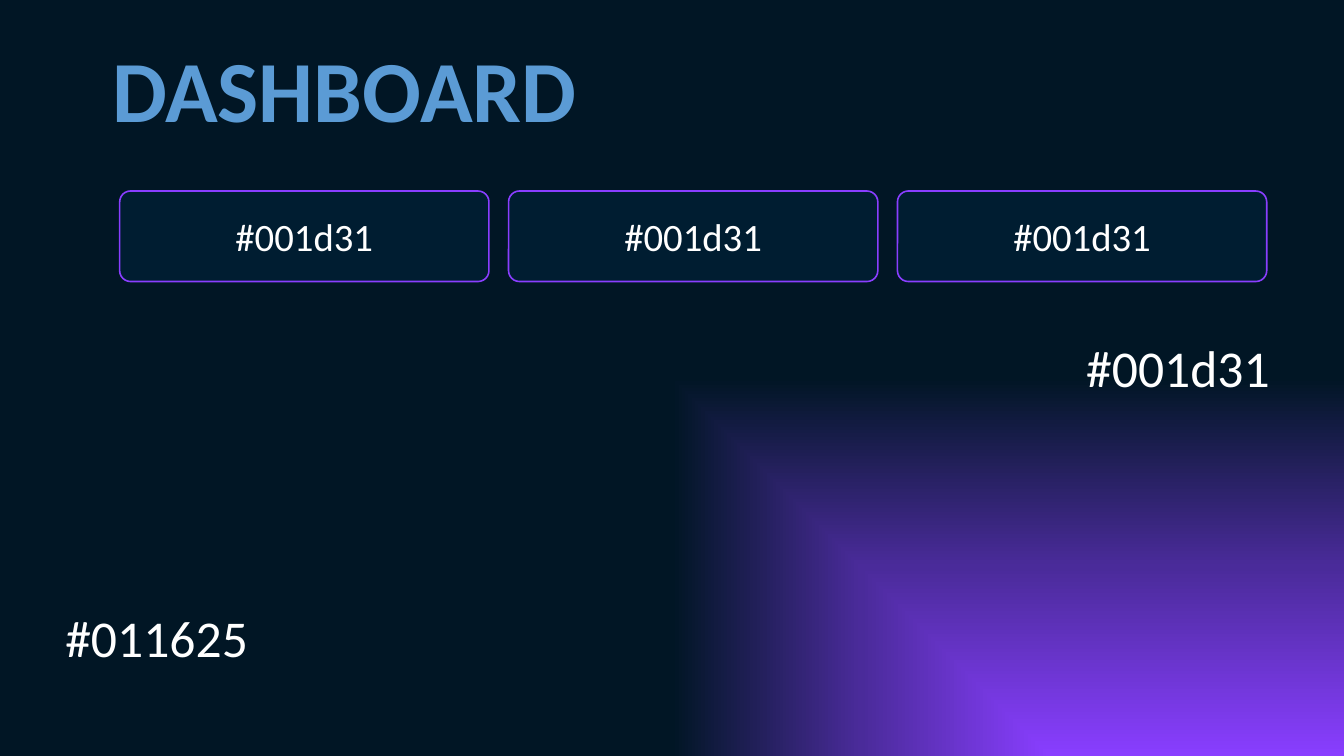
"""Build a dark dashboard slide with three outlined cards and a glowing corner."""
from dataclasses import dataclass

from lxml import etree
from pptx import Presentation
from pptx import util as u
from pptx.dml import color
from pptx.enum import shapes, text
from pptx.oxml import ns

HUES = {"glow": "893EFF", "mid": "4A2B9A", "night": "011625",
        "card": "001D31", "title": "5B9BD5", "white": "FFFFFF"}
STOPS = {0: "glow", 50000: "mid", 100000: "night"}
FRAME = {"vertical_anchor": text.MSO_ANCHOR.MIDDLE, "word_wrap": True}
HEAD = {"vertical_anchor": text.MSO_ANCHOR.TOP, "word_wrap": False,
        "auto_size": text.MSO_AUTO_SIZE.SHAPE_TO_FIT_TEXT}


@dataclass
class Box:
    label: str
    left: float
    top: float
    width: float = 6.86
    height: float = 1.73
    size: int = 32
    round: float = 0.2
    filled: bool = False


def rgb(name: str) -> color.RGBColor:
    return color.RGBColor.from_string(HUES[name])


def place(shape, left: float, top: float, width: float, height: float) -> None:
    spots = {"left": left, "top": top, "width": width, "height": height}
    for key, value in spots.items():
        setattr(shape, key, u.Cm(value))


def write(shape, label: str, size: int, hue: str, frame: dict, bold: bool = False) -> None:
    body = shape.text_frame
    for key, value in frame.items():
        setattr(body, key, value)
    para = body.paragraphs[0]
    para.alignment = text.PP_ALIGN.CENTER
    run = para.add_run()
    run.text = label
    for key, value in {"name": "Calibri", "size": u.Pt(size), "bold": bold}.items():
        setattr(run.font, key, value)
    run.font.color.rgb = rgb(hue)


def draw(slide, box: Box) -> None:
    shape = slide.shapes.add_shape(shapes.MSO_SHAPE.ROUNDED_RECTANGLE, 0, 0, 0, 0)
    place(shape, box.left, box.top, box.width, box.height)
    shape.adjustments[0] = box.round
    shape.shadow.inherit = False
    if box.filled:
        shape.fill.solid()
        shape.fill.fore_color.rgb = rgb("card")
        shape.line.color.rgb = rgb("glow")
        shape.line.width = u.Pt(1)
    else:
        shape.fill.background()
        shape.line.fill.background()
    write(shape, box.label, box.size, "white", FRAME)


def glow(slide) -> None:
    slide.background.fill.gradient()
    grad = slide.element.find(".//" + ns.qn("a:gradFill"))
    for child in list(grad):
        grad.remove(child)
    stops = etree.SubElement(grad, ns.qn("a:gsLst"))
    for pos, hue in STOPS.items():
        stop = etree.SubElement(stops, ns.qn("a:gs"), pos=str(pos))
        etree.SubElement(stop, ns.qn("a:srgbClr"), val=HUES[hue])
    route = etree.SubElement(grad, ns.qn("a:path"), {"path": "rect"})
    etree.SubElement(route, ns.qn("a:fillToRect"), l="100000", t="100000")
    etree.SubElement(grad, ns.qn("a:tileRect"), r="-100000", b="-100000")


def main() -> None:
    deck = Presentation()
    deck.slide_width, deck.slide_height = u.Cm(29.41), u.Cm(16.54)
    slide = deck.slides.add_slide(deck.slide_layouts[5])
    glow(slide)
    title = slide.shapes.title
    place(title, 2.16, 0.64, 10.77, 2.57)
    write(title, "DASHBOARD", 54, "title", HEAD, bold=True)
    tags = [Box("#011625", 0, 13.06), Box("#001d31", 22.35, 7.16)]
    cards = [Box("#001d31", 2.62 + 8.51 * col, 4.18, 8.08, 1.98, 24, 0.12, True)
             for col in range(3)]
    for box in tags + cards:
        draw(slide, box)
    deck.save("out.pptx")


if __name__ == "__main__":
    main()
